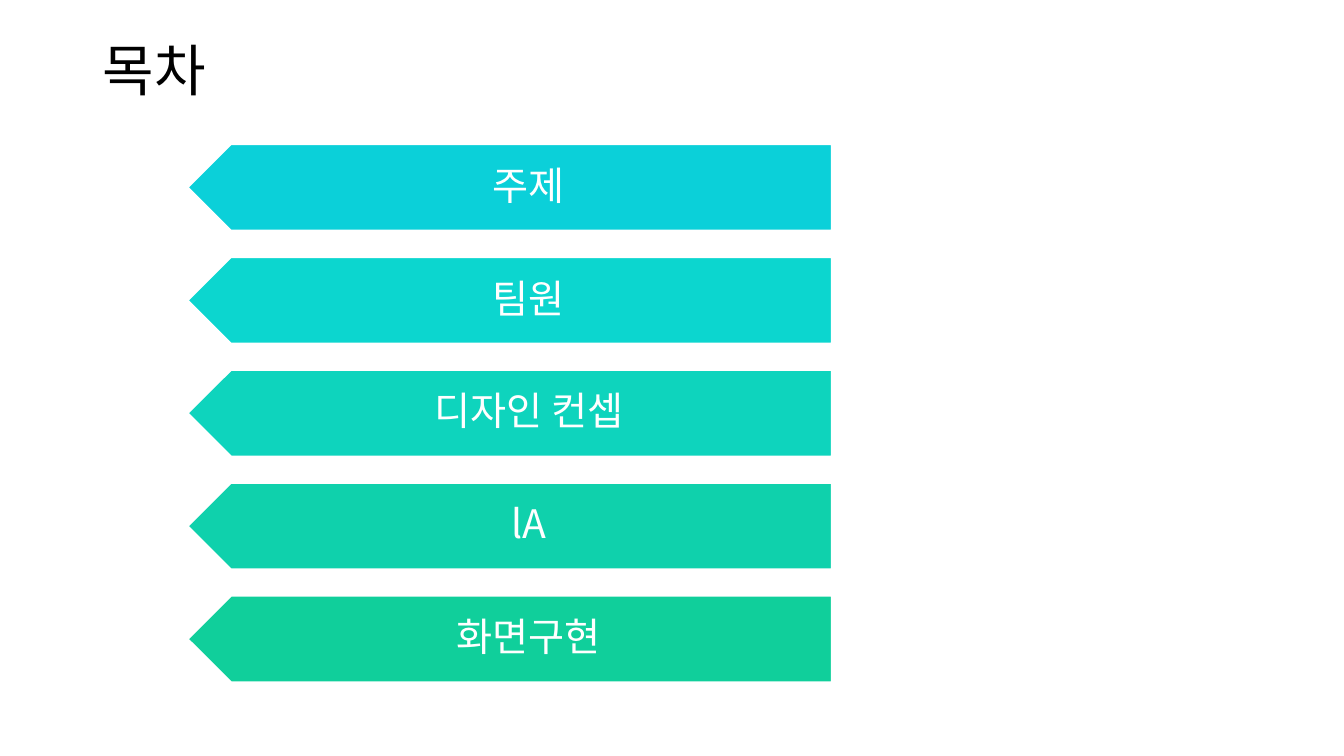
from dataclasses import dataclass

from lxml.etree import SubElement
from pptx import Presentation
from pptx.dml.color import RGBColor
from pptx.enum.text import MSO_ANCHOR, PP_ALIGN
from pptx.oxml.ns import qn
from pptx.slide import Slide
from pptx.text.text import TextFrame
from pptx.util import Inches, Pt

FONT_NAME = "Noto Sans CJK KR"
BLACK = RGBColor(0x00, 0x00, 0x00)
WHITE = RGBColor(0xFF, 0xFF, 0xFF)

# Arrow bar geometry, in inches
BAR_LEFT = 1.86
BAR_TOP = 1.43
BAR_WIDTH = 6.39
BAR_HEIGHT = 0.86
BAR_PITCH = 1.12
TIP_LENGTH = 0.43


@dataclass(frozen=True)
class Topic:
    label: str
    fill: RGBColor


TOPICS = [
    Topic("주제", RGBColor(0x0B, 0xD0, 0xD9)),
    Topic("팀원", RGBColor(0x0C, 0xD6, 0xCF)),
    Topic("디자인 컨셉", RGBColor(0x0E, 0xD4, 0xBD)),
    Topic("lA", RGBColor(0x0F, 0xD1, 0xAC)),
    Topic("화면구현", RGBColor(0x10, 0xCF, 0x9B)),
]


def write_line(frame: TextFrame, text: str, size: int, color: RGBColor,
               alignment: PP_ALIGN) -> None:
    """Fill a text frame with one formatted line."""
    frame.text = text
    frame.word_wrap = True
    frame.vertical_anchor = MSO_ANCHOR.MIDDLE
    para = frame.paragraphs[0]
    para.alignment = alignment
    para.line_spacing = 0.9
    span = para.runs[0]
    span.font.size = Pt(size)
    span.font.color.rgb = color
    span.font.name = FONT_NAME
    # Hangul takes its font from the East Asian setting
    SubElement(span.font._element, qn("a:ea"), typeface=FONT_NAME)


def add_title(page: Slide, text: str) -> None:
    title = page.shapes.title
    title.left, title.top = Inches(0.92), Inches(0.32)
    title.width, title.height = Inches(11.5), Inches(0.82)
    write_line(title.text_frame, text, 40, BLACK, PP_ALIGN.LEFT)


def add_arrow_bar(page: Slide, topic: Topic, top: float) -> None:
    """Draw a bar whose left end comes to a point."""
    right, bottom = BAR_LEFT + BAR_WIDTH, top + BAR_HEIGHT
    shoulder = BAR_LEFT + TIP_LENGTH
    corners = [
        (right, bottom),
        (shoulder, bottom),
        (BAR_LEFT, top + BAR_HEIGHT / 2),
        (shoulder, top),
        (right, top),
    ]
    start, *others = [(Inches(x), Inches(y)) for x, y in corners]
    builder = page.shapes.build_freeform(*start)
    builder.add_line_segments(others, close=True)
    bar = builder.convert_to_shape()
    bar.shadow.inherit = False
    bar.fill.solid()
    bar.fill.fore_color.rgb = topic.fill
    bar.line.color.rgb = WHITE
    bar.line.width = Pt(1.5)

    frame = bar.text_frame
    frame.margin_left, frame.margin_right = Inches(0.6), Inches(0.22)
    frame.margin_top = frame.margin_bottom = Inches(0.12)
    write_line(frame, topic.label, 28, WHITE, PP_ALIGN.CENTER)


def main() -> None:
    deck = Presentation()
    deck.slide_width, deck.slide_height = Inches(13.33), Inches(7.5)
    page = deck.slides.add_slide(deck.slide_layouts.get_by_name("Title Only"))

    # Title
    add_title(page, "목차")

    # Contents
    for index, topic in enumerate(TOPICS):
        add_arrow_bar(page, topic, BAR_TOP + index * BAR_PITCH)

    deck.save("out.pptx")


if __name__ == "__main__":
    main()
